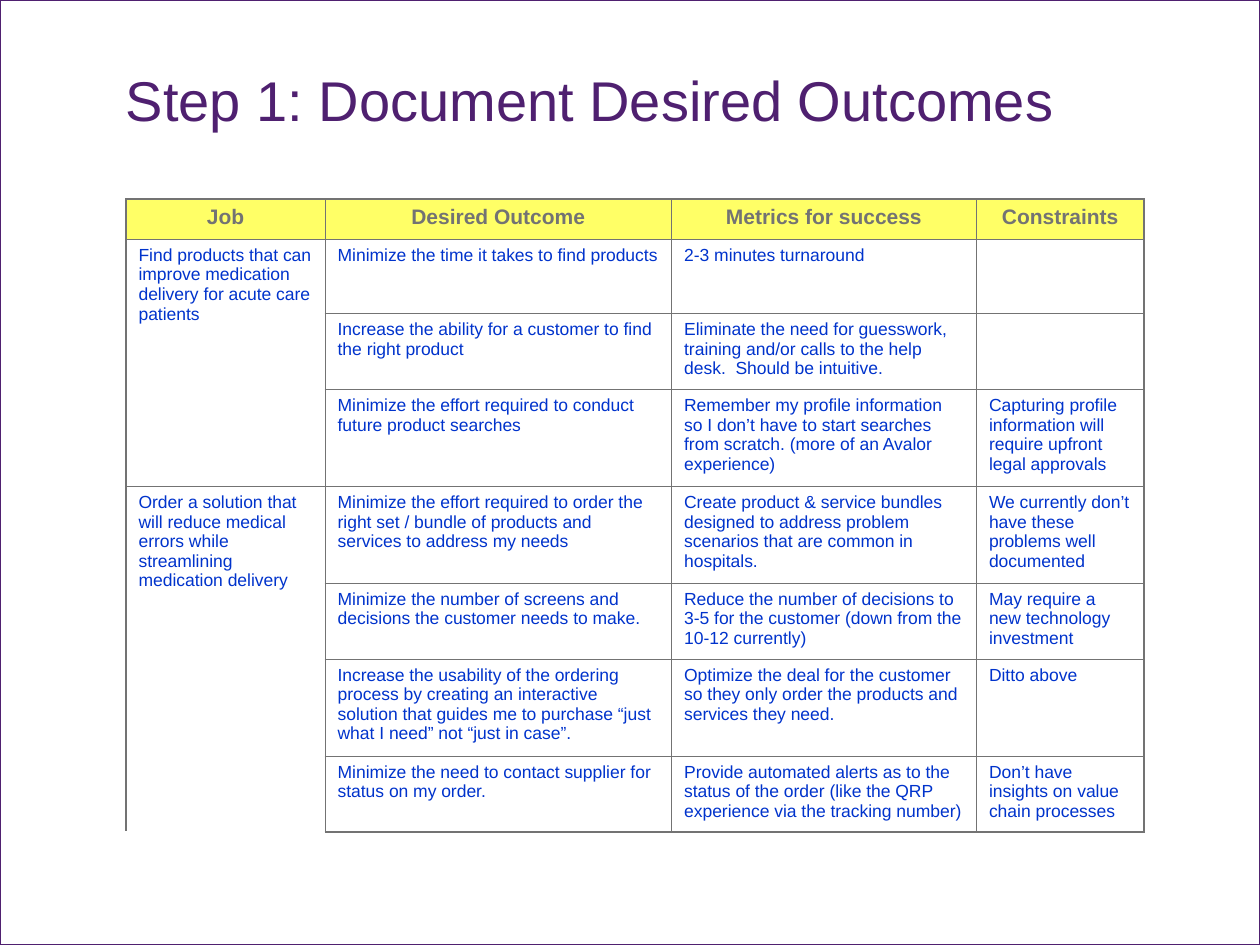
import pptx
import pptx.dml.color
import pptx.enum.shapes
import pptx.enum.text
import pptx.oxml.ns
import pptx.util
from lxml import etree

HUES = {"plum": "4F2070", "gray": "737373", "lemon": "FFFF66", "blue": "0033CC"}
FACE = "Arial"
THICK, THIN = 1.08, 0.45
COLS = [1.58, 2.75, 2.42, 1.33]
ROWS = [0.32, 0.59, 0.6, 0.77, 0.77, 0.6, 0.77, 0.6]

HEADS = ["Job", "Desired Outcome", "Metrics for success", "Constraints"]
JOBS = [
    ("Find products that can improve medication delivery for acute care patients", [
        ("Minimize the time it takes to find products",
         "2-3 minutes turnaround", ""),
        ("Increase the ability for a customer to find the right product",
         "Eliminate the need for guesswork, training and/or calls to the help desk.  "
         "Should be intuitive.", ""),
        ("Minimize the effort required to conduct future product searches",
         "Remember my profile information so I don’t have to start searches from scratch. "
         "(more of an Avalor experience)",
         "Capturing profile information will require upfront legal approvals"),
    ]),
    ("Order a solution that will reduce medical errors while streamlining medication delivery", [
        ("Minimize the effort required to order the right set / bundle of products and "
         "services to address my needs",
         "Create product & service bundles designed to address problem scenarios that are "
         "common in hospitals.",
         "We currently don’t have these problems well documented"),
        ("Minimize the number of screens and decisions the customer needs to make.",
         "Reduce the number of decisions to 3-5 for the customer (down from the 10-12 currently)",
         "May require a new technology investment"),
        ("Increase the usability of the ordering process by creating an interactive solution "
         "that guides me to purchase “just what I need” not “just in case”.",
         "Optimize the deal for the customer so they only order the products and services "
         "they need.",
         "Ditto above"),
        ("Minimize the need to contact supplier for status on my order.",
         "Provide automated alerts as to the status of the order (like the QRP experience "
         "via the tracking number)",
         "Don’t have insights on value chain processes"),
    ]),
]


def style(para, size, hue, bold=False):
    para.font.name = FACE
    para.font.size = pptx.util.Pt(size)
    para.font.bold = bold
    para.font.color.rgb = pptx.dml.color.RGBColor.from_string(HUES[hue])


def edge(cell, side, width):
    props = cell._tc.get_or_add_tcPr()
    line = etree.SubElement(props, pptx.oxml.ns.qn(f"a:ln{side}"),
                            w=str(int(pptx.util.Pt(width))))
    fill = etree.SubElement(line, pptx.oxml.ns.qn("a:solidFill"))
    etree.SubElement(fill, pptx.oxml.ns.qn("a:srgbClr"), val=HUES["gray"])


deck = pptx.Presentation()
deck.slide_width = pptx.util.Inches(10)
deck.slide_height = pptx.util.Inches(7.5)
slide = deck.slides.add_slide(deck.slide_layouts[6])

# Slide frame
frame = slide.shapes.add_shape(pptx.enum.shapes.MSO_SHAPE.RECTANGLE, 0, 0,
                               deck.slide_width, deck.slide_height)
frame.shadow.inherit = False
frame.fill.background()
frame.line.color.rgb = pptx.dml.color.RGBColor.from_string(HUES["plum"])
frame.line.width = pptx.util.Pt(0.75)

# Title
title = slide.shapes.add_textbox(*map(pptx.util.Inches, (1, 0.58, 8.33, 0.67))).text_frame
title.word_wrap = True
title.margin_left = title.margin_right = title.margin_top = title.margin_bottom = 0
title.text = "Step 1: Document Desired Outcomes"
title.paragraphs[0].line_spacing = 0.9
style(title.paragraphs[0], 32, "plum")

# Table grid
table = slide.shapes.add_table(len(ROWS), len(COLS), pptx.util.Inches(1),
                               pptx.util.Inches(1.58), pptx.util.Inches(sum(COLS)),
                               pptx.util.Inches(sum(ROWS))).table
table.first_row = table.horz_banding = False
for col, width in zip(table.columns, COLS):
    col.width = pptx.util.Inches(width)
for row, height in zip(table.rows, ROWS):
    row.height = pptx.util.Inches(height)

# Each job spans the rows of its outcomes
lines = [HEADS]
for job, goals in JOBS:
    first = len(lines)
    lines += [(job if i == 0 else "", *goal) for i, goal in enumerate(goals)]
    table.cell(first, 0).merge(table.cell(len(lines) - 1, 0))

# Cell text, borders and fill
last, end = len(ROWS) - 1, len(COLS) - 1
for r, line in enumerate(lines):
    for c, words in enumerate(line):
        cell = table.cell(r, c)
        edge(cell, "L", THICK if c == 0 else THIN)
        edge(cell, "R", THICK if c == end else THIN)
        if not cell.is_spanned:
            edge(cell, "T", THICK if r == 0 else THIN)
        if r == last or not table.cell(r + 1, c).is_spanned:
            edge(cell, "B", THICK if r == last else THIN)
        if words:
            cell.text = words
        para = cell.text_frame.paragraphs[0]
        if r == 0:
            cell.fill.solid()
            cell.fill.fore_color.rgb = pptx.dml.color.RGBColor.from_string(HUES["lemon"])
            para.alignment = pptx.enum.text.PP_ALIGN.CENTER
            style(para, 12, "gray", True)
        else:
            cell.fill.background()
            style(para, 10, "blue")

deck.save("out.pptx")
